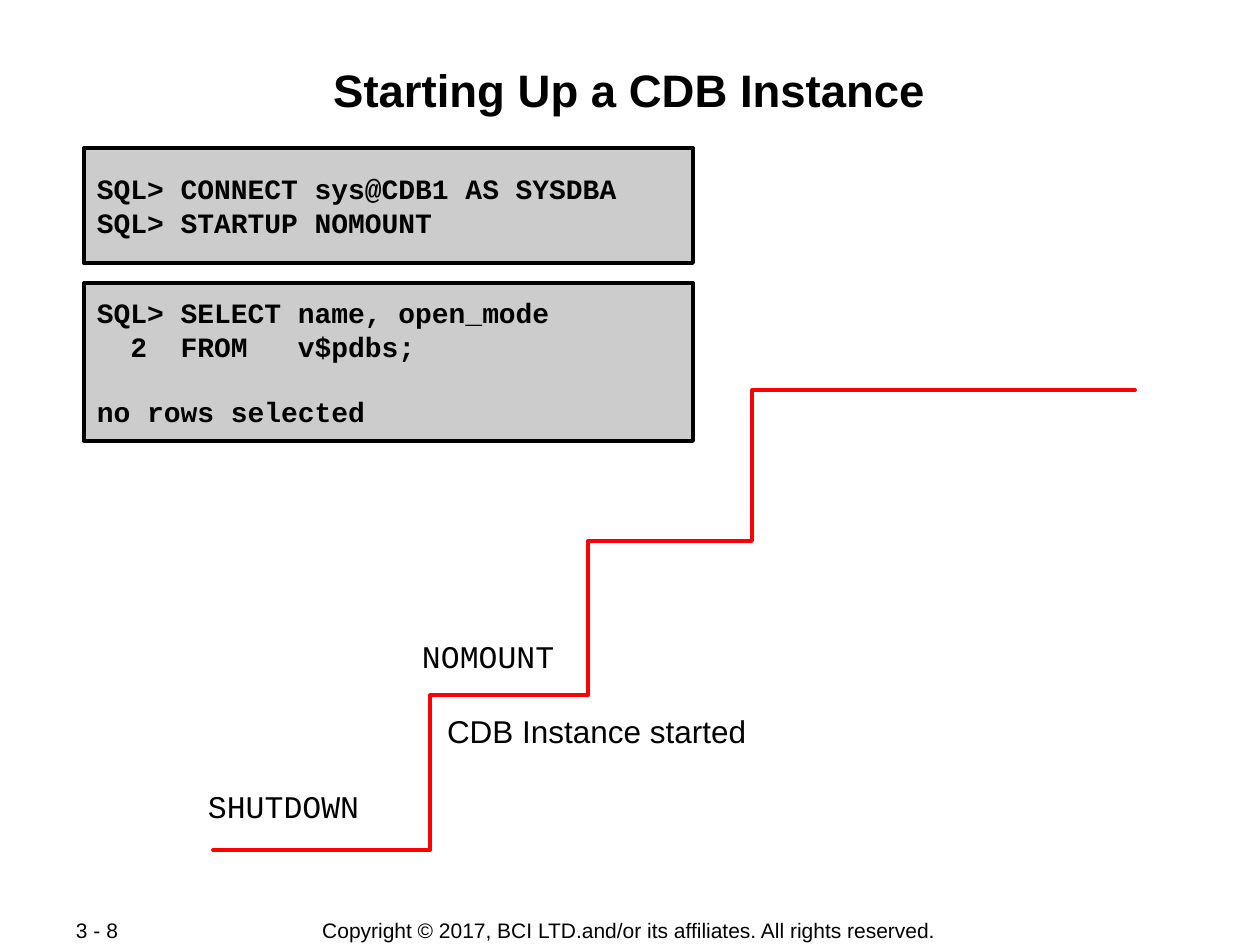
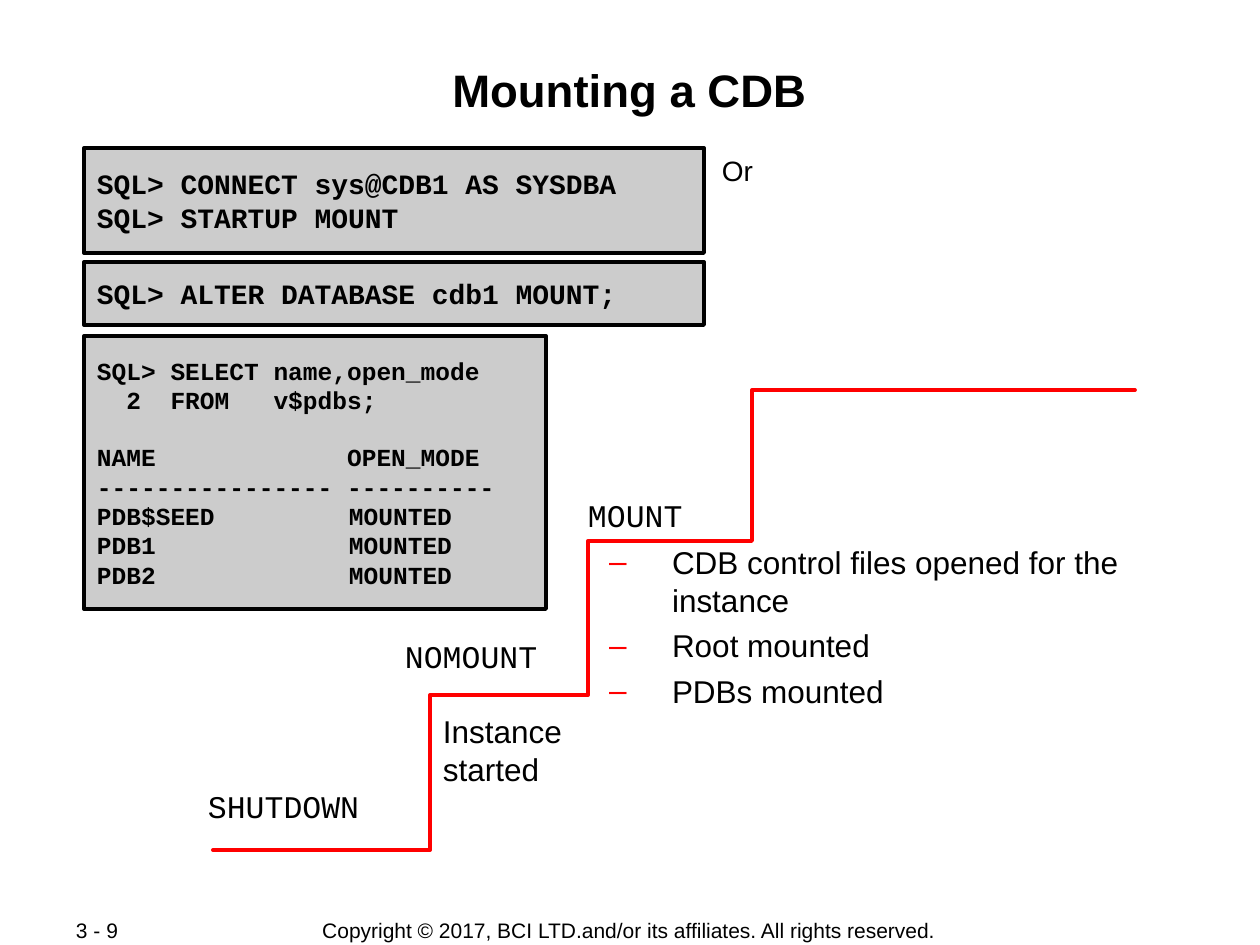
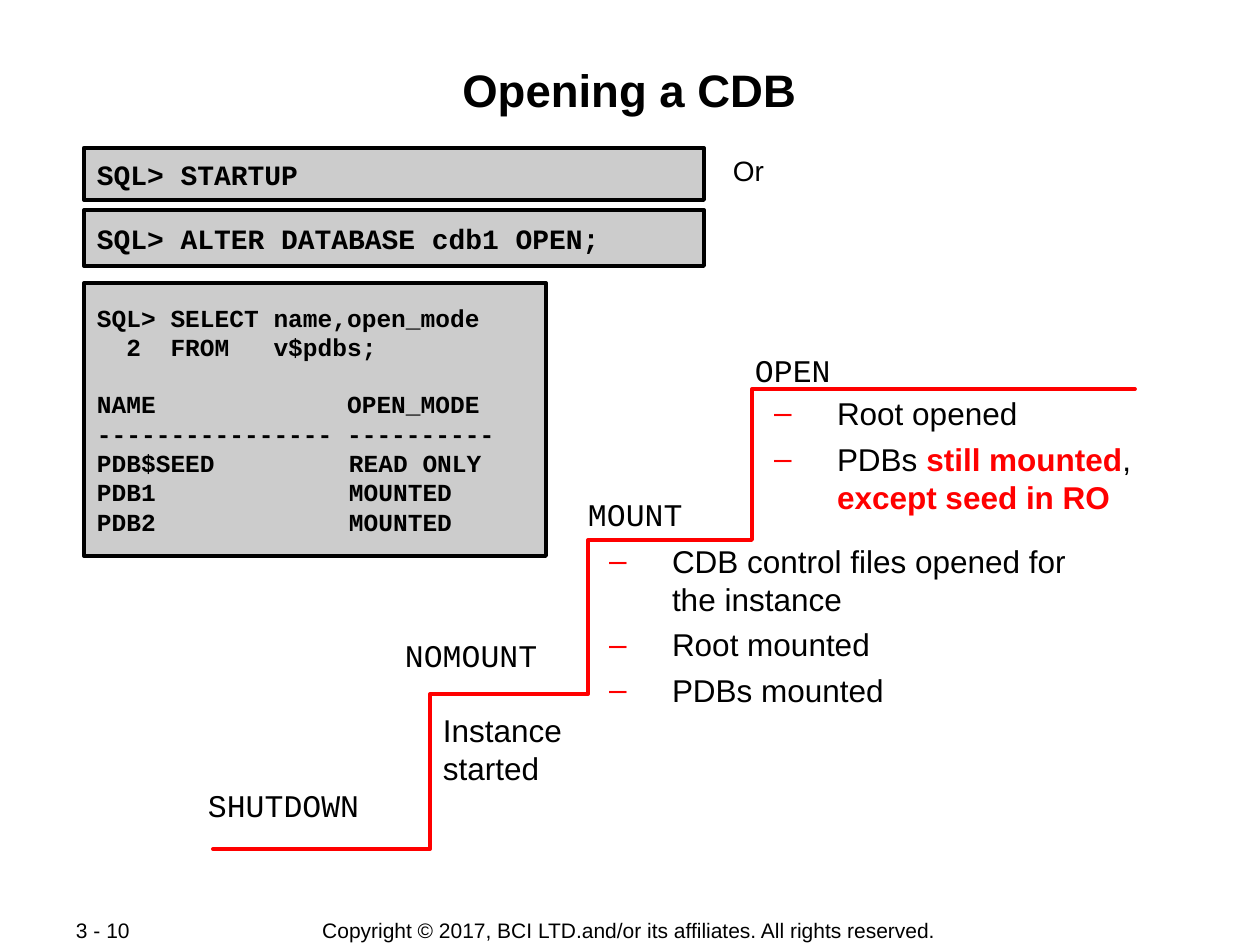
from lxml.etree import SubElement
from pptx import Presentation
from pptx.dml.color import RGBColor
from pptx.enum.shapes import MSO_SHAPE
from pptx.enum.text import MSO_ANCHOR, MSO_AUTO_SIZE, PP_ALIGN
from pptx.oxml.ns import qn
from pptx.util import Pt

SCALE = 914400 / 126
BLACK = RGBColor(0x00, 0x00, 0x00)
RED = RGBColor(0xFF, 0x00, 0x00)
GREY = RGBColor(0xCC, 0xCC, 0xCC)
SANS = "Arial"
MONO = "Courier New"
COPYRIGHT = "Copyright © 2017, BCI LTD.and/or its affiliates. All rights reserved."

TITLE_ONLY, ONE_LIST, TWO_LISTS = 5, 1, 3
CODE_LEFT = 84
STAIRS_LEFT = 213
STAIRS = [(0, 460), (217, 460), (217, 305), (375, 305),
          (375, 151), (539, 151), (539, 0), (922, 0)]
MOUNT_ITEMS = [["CDB control files opened for the instance"],
               ["Root mounted"], ["PDBs mounted"]]
OPEN_ITEMS = [["Root opened"],
              ["PDBs ", "still mounted", ", ", "except seed in RO"]]


def px(length):
    return round(length * SCALE)


def place(shape, box):
    shape.left, shape.top, shape.width, shape.height = map(px, box)


def set_insets(frame, across, down):
    frame.margin_left = frame.margin_right = px(across)
    frame.margin_top = frame.margin_bottom = px(down)


def style(font, size, name=SANS, bold=False, color=BLACK):
    font.size = Pt(size)
    font.name = name
    font.bold = bold
    font.color.rgb = color


def add_text(page, text, box, size=18, name=SANS,
             align=PP_ALIGN.LEFT, anchor=MSO_ANCHOR.TOP):
    frame = page.shapes.add_textbox(*map(px, box)).text_frame
    frame.word_wrap = True
    frame.vertical_anchor = anchor
    set_insets(frame, 13, 6)
    paragraph = frame.paragraphs[0]
    paragraph.text = text
    paragraph.alignment = align
    for span in paragraph.runs:
        style(span.font, size, name)


def add_title(page, text):
    title = page.shapes.title
    place(title, (84, 61, 1091, 121))
    frame = title.text_frame
    frame.text = text
    frame.auto_size = MSO_AUTO_SIZE.NONE
    frame.vertical_anchor = MSO_ANCHOR.TOP
    set_insets(frame, 1, 1)
    paragraph = frame.paragraphs[0]
    paragraph.alignment = PP_ALIGN.CENTER
    paragraph.space_before = Pt(0)
    style(paragraph.runs[0].font, 26, bold=True)


def add_footer(page, number):
    add_text(page, COPYRIGHT, (289, 917, 680, 26), 12,
             align=PP_ALIGN.CENTER, anchor=MSO_ANCHOR.MIDDLE)
    add_text(page, f"3 - {number}", (63, 917, 134, 26), 12,
             anchor=MSO_ANCHOR.MIDDLE)


def add_tab_stops(paragraph, stops):
    tabs = SubElement(paragraph._p.get_or_add_pPr(), qn("a:tabLst"))
    for stop in stops:
        SubElement(tabs, qn("a:tab"), pos=str(px(stop)), algn="l")


def add_code(page, top, width, height, blocks, size=16):
    box = page.shapes.add_shape(
        MSO_SHAPE.RECTANGLE, *map(px, (CODE_LEFT, top, width, height)))
    box.shadow.inherit = False
    box.fill.solid()
    box.fill.fore_color.rgb = GREY
    box.line.color.rgb = BLACK
    box.line.width = Pt(2.25)
    frame = box.text_frame
    frame.word_wrap = True
    frame.vertical_anchor = MSO_ANCHOR.MIDDLE
    set_insets(frame, 13, 1)
    frame.text = "\n".join(line for block in blocks for line in block)
    for index, paragraph in enumerate(frame.paragraphs):
        add_tab_stops(paragraph, (126, 252))
        paragraph.alignment = PP_ALIGN.LEFT
        if index == len(blocks[0]):
            paragraph.space_before = Pt(round(size * 1.13, 1))
        style(paragraph.runs[0].font, size, MONO, bold=True)


def add_query(page, top, seed_mode):
    query = ["SQL> SELECT name,open_mode", "  2  FROM   v$pdbs;"]
    result = ["NAME             OPEN_MODE", "---------------- ----------",
              f"PDB$SEED \t{seed_mode}", "PDB1 \t\tMOUNTED", "PDB2 \t\tMOUNTED"]
    add_code(page, top, 462, 273, [query, result], 14)


def add_stairs(page, top):
    outline = page.shapes.build_freeform(*STAIRS[0], scale=SCALE)
    outline.add_line_segments(STAIRS[1:], close=False)
    stairs = outline.convert_to_shape(px(STAIRS_LEFT), px(top))
    stairs.shadow.inherit = False
    stairs.fill.background()
    stairs.line.color.rgb = RED
    stairs.line.width = Pt(2.25)
    stairs.element.spPr.find(qn("a:ln")).set("cap", "rnd")


def add_steps(page, top, labels, started, started_box):
    add_stairs(page, top)
    for text, left, down, width in [("SHUTDOWN", -18, 391, 217), *labels]:
        add_text(page, text, (STAIRS_LEFT + left, top + down, width, 50), name=MONO)
    left, down, width, height = started_box
    add_text(page, started, (STAIRS_LEFT + left, top + down, width, height))


def add_bullet(paragraph):
    properties = paragraph._p.get_or_add_pPr()
    properties.set("marL", str(px(79)))
    properties.set("indent", str(px(-63)))
    color = SubElement(properties, qn("a:buClr"))
    SubElement(color, qn("a:srgbClr"), val=str(RED))
    SubElement(properties, qn("a:buChar"), char="–")


def fill_list(body, box, items):
    place(body, box)
    frame = body.text_frame
    frame.auto_size = MSO_AUTO_SIZE.NONE
    frame.vertical_anchor = MSO_ANCHOR.TOP
    set_insets(frame, 13, 6)
    for index, item in enumerate(items):
        paragraph = frame.add_paragraph() if index else frame.paragraphs[0]
        add_bullet(paragraph)
        paragraph.space_before = Pt(4.5 if index else 0)
        for position, text in enumerate(item):
            span = paragraph.add_run()
            span.text = text
            key = position % 2 == 1
            style(span.font, 18, bold=key, color=RED if key else BLACK)


def add_page(deck, layout, title, number):
    page = deck.slides.add_slide(deck.slide_layouts[layout])
    add_title(page, title)
    add_footer(page, number)
    return page


def build_startup(deck):
    page = add_page(deck, TITLE_ONLY, "Starting Up a CDB Instance", 8)
    add_steps(page, 390, [("NOMOUNT", 196, 241, 189)],
              "CDB Instance started", (221, 316, 384, 50))
    add_code(page, 148, 609, 115,
             [["SQL> CONNECT sys@CDB1 AS SYSDBA", "SQL> STARTUP NOMOUNT"]])
    add_code(page, 283, 609, 158,
             [["SQL> SELECT name, open_mode", "  2  FROM   v$pdbs;"],
              ["no rows selected"]])


def add_mounted_steps(page, top, list_width, list_height, extra_labels=()):
    labels = [("NOMOUNT", 179, 241, 189), ("MOUNT", 362, 100, 205), *extra_labels]
    add_steps(page, top, labels, "Instance\vstarted", (217, 316, 238, 88))
    fill_list(page.placeholders[1],
              (STAIRS_LEFT + 367, top + 147, list_width, list_height), MOUNT_ITEMS)


def build_mount(deck):
    page = add_page(deck, ONE_LIST, "Mounting a CDB", 9)
    add_mounted_steps(page, 390, 563, 273)
    add_code(page, 148, 620, 105,
             [["SQL> CONNECT sys@CDB1 AS SYSDBA", "SQL> STARTUP MOUNT"]])
    add_code(page, 262, 620, 63, [["SQL> ALTER DATABASE cdb1 MOUNT;"]])
    add_text(page, "Or", (709, 148, 64, 79), 16)
    add_query(page, 336, "MOUNTED")


def build_open(deck):
    page = add_page(deck, TWO_LISTS, "Opening a CDB", 10)
    top = 389
    add_mounted_steps(page, top, 543, 199, [("OPEN", 529, -44, 224)])
    fill_list(page.placeholders[2],
              (STAIRS_LEFT + 532, top - 1, 451, 272), OPEN_ITEMS)
    add_code(page, 148, 620, 52, [["SQL> STARTUP"]])
    add_code(page, 210, 620, 56, [["SQL> ALTER DATABASE cdb1 OPEN;"]])
    add_text(page, "Or", (720, 148, 64, 79), 16)
    add_query(page, 283, "READ ONLY")


def main():
    deck = Presentation()
    deck.slide_width, deck.slide_height = px(1260), px(945)
    build_startup(deck)
    build_mount(deck)
    build_open(deck)
    deck.save("out.pptx")


if __name__ == "__main__":
    main()
